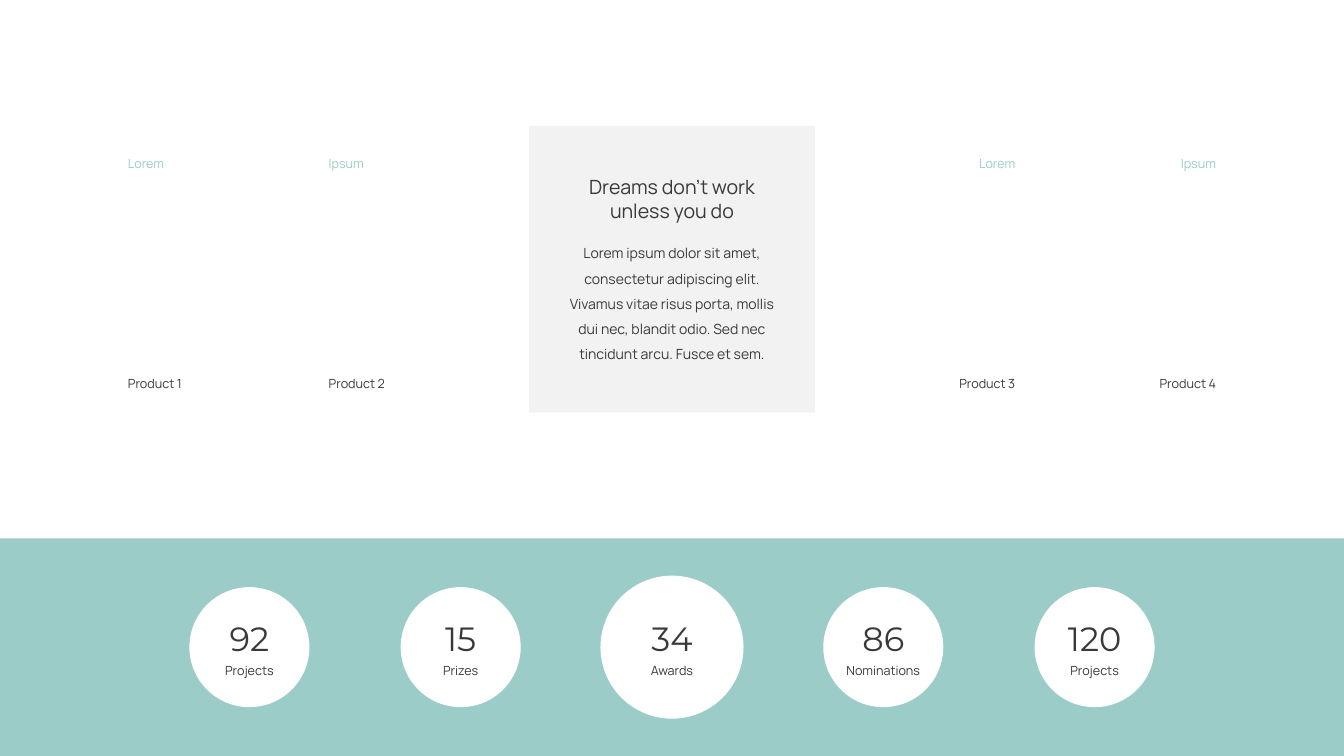
from collections import namedtuple
from dataclasses import dataclass

from lxml.etree import SubElement
from pptx import Presentation
from pptx.dml.color import RGBColor
from pptx.enum.shapes import MSO_SHAPE
from pptx.enum.text import MSO_ANCHOR, MSO_AUTO_SIZE, PP_ALIGN
from pptx.oxml.ns import qn
from pptx.util import Cm, Pt

Box = namedtuple("Box", "left top width height")


@dataclass(frozen=True)
class Theme:
    accent: RGBColor = RGBColor(0x9B, 0xCC, 0xC8)
    dark: RGBColor = RGBColor(0x3B, 0x38, 0x38)
    light: RGBColor = RGBColor(0xF2, 0xF2, 0xF2)
    white: RGBColor = RGBColor(0xFF, 0xFF, 0xFF)
    text_font: str = "Manrope"
    number_font: str = "Montserrat"
    title_size: int = 28
    body_size: int = 20
    label_size: int = 18
    number_size: int = 48


THEME = Theme()
SLIDE = Box(0, 0, 67.74, 38.1)
LABEL_WIDTH, LABEL_HEIGHT = 4.9, 1.27


def lengths(box):
    return [Cm(value) for value in box]


def add_panel(slide, kind, box, color):
    shape = slide.shapes.add_shape(kind, *lengths(box))
    shape.shadow.inherit = False
    shape.fill.solid()
    shape.fill.fore_color.rgb = color
    shape.line.fill.background()
    return shape


def write_text(shape, text, size=THEME.label_size, font=THEME.text_font,
               color=THEME.dark, align=PP_ALIGN.CENTER, line_spacing=1.5):
    frame = shape.text_frame
    frame.word_wrap = True
    frame.auto_size = MSO_AUTO_SIZE.SHAPE_TO_FIT_TEXT
    frame.vertical_anchor = MSO_ANCHOR.TOP
    paragraph = frame.paragraphs[0]
    paragraph.alignment = align
    paragraph.line_spacing = line_spacing
    paragraph.space_before = Pt(0)
    run = paragraph.add_run()
    run.text = text
    run.font.size = Pt(size)
    run.font.name = font
    run.font.color.rgb = color


def add_text(slide, box, text, **text_format):
    write_text(slide.shapes.add_textbox(*lengths(box)), text, **text_format)


def fill_placeholder(placeholder, box, text, **text_format):
    placeholder.left, placeholder.top, placeholder.width, placeholder.height = lengths(box)
    write_text(placeholder, text, **text_format)


def remove_bullet(paragraph):
    properties = paragraph._p.get_or_add_pPr()
    properties.set("marL", "0")
    properties.set("indent", "0")
    SubElement(properties, qn("a:buNone"))


def add_message_card(slide, box, title, body):
    title_shape, body_shape = slide.shapes.title, slide.placeholders[1]
    card = add_panel(slide, MSO_SHAPE.RECTANGLE, box, THEME.light)
    title_shape.element.addprevious(card.element)

    def centered(width, top, height):
        return Box(box.left + (box.width - width) / 2, box.top + top, width, height)

    fill_placeholder(title_shape, centered(10.26, 2.34, 2.64), title,
                     size=THEME.title_size, line_spacing=1.0)
    fill_placeholder(body_shape, centered(11.23, 5.44, 6.68), body, size=THEME.body_size)
    remove_bullet(body_shape.text_frame.paragraphs[0])


def add_products(slide, box, products, align):
    pitch = (box.width - LABEL_WIDTH) / (len(products) - 1)
    for index, (tag, name) in enumerate(products):
        left = box.left + index * pitch
        bottom_row = box.top + box.height - LABEL_HEIGHT
        add_text(slide, Box(left, box.top, LABEL_WIDTH, LABEL_HEIGHT), tag,
                 color=THEME.accent, align=align)
        add_text(slide, Box(left, bottom_row, LABEL_WIDTH, LABEL_HEIGHT), name, align=align)


def add_statistics_band(slide, box, statistics):
    pitch, small, large, number_width = 10.65, 6.05, 7.21, 4.29
    middle = len(statistics) // 2
    add_panel(slide, MSO_SHAPE.RECTANGLE, box, THEME.accent)
    for index, (number, label) in enumerate(statistics):
        center = box.left + box.width / 2 + (index - middle) * pitch
        diameter = large if index == middle else small
        circle_top = box.top + (box.height - diameter) / 2
        add_panel(slide, MSO_SHAPE.OVAL,
                  Box(center - diameter / 2, circle_top, diameter, diameter), THEME.white)
        add_text(slide, Box(center - number_width / 2, box.top + 3.91, number_width, 2.31),
                 number, size=THEME.number_size, font=THEME.number_font, line_spacing=1.0)
        add_text(slide, Box(center - LABEL_WIDTH / 2, box.top + 5.79, LABEL_WIDTH, LABEL_HEIGHT),
                 label)


def main():
    presentation = Presentation()
    presentation.slide_width, presentation.slide_height = Cm(SLIDE.width), Cm(SLIDE.height)
    slide = presentation.slides.add_slide(presentation.slide_layouts[1])
    slide.background.fill.solid()
    slide.background.fill.fore_color.rgb = THEME.white

    band_height, card_size = 10.97, 14.43
    margin, products_width = 6.2, 15.02
    add_statistics_band(
        slide, Box(0, SLIDE.height - band_height, SLIDE.width, band_height),
        [("92", "Projects"), ("15", "Prizes"), ("34", "Awards"),
         ("86", "Nominations"), ("120", "Projects")])
    add_message_card(
        slide, Box((SLIDE.width - card_size) / 2, 6.35, card_size, card_size),
        "Dreams don’t work unless you do",
        "Lorem ipsum dolor sit amet, consectetur adipiscing elit. Vivamus vitae risus porta, "
        "mollis dui nec, blandit odio. Sed nec tincidunt arcu. Fusce et sem.")
    left_box = Box(margin, 7.34, products_width, 12.37)
    right_box = left_box._replace(left=SLIDE.width - margin - products_width)
    add_products(slide, left_box, [("Lorem", "Product 1"), ("Ipsum", "Product 2")],
                 PP_ALIGN.LEFT)
    add_products(slide, right_box, [("Lorem", "Product 3"), ("Ipsum", "Product 4")],
                 PP_ALIGN.RIGHT)
    presentation.save("out.pptx")


if __name__ == "__main__":
    main()
